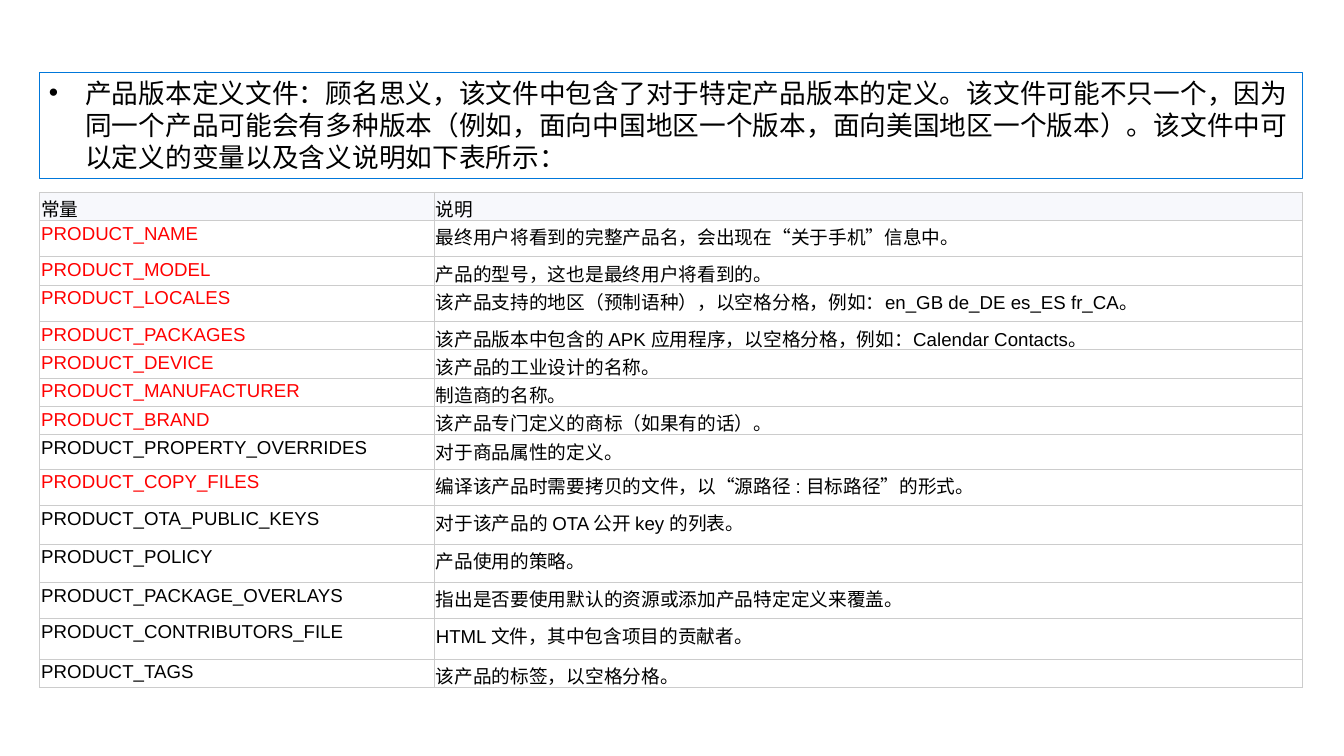
import pptx
import pptx.dml.color
import pptx.enum.shapes
import pptx.enum.text
import pptx.oxml
import pptx.oxml.ns
import pptx.util
from pptx.util import Inches

BLACK, RED, BLUE, GREY, PALE = "000000", "FF0000", "0077DA", "CCCCCC", "F7F8FC"

INTRO = (
    "产品版本定义文件：顾名思义，该文件中包含了对于特定产品版本的定义。"
    "该文件可能不只一个，因为同一个产品可能会有多种版本"
    "（例如，面向中国地区一个版本，面向美国地区一个版本）。"
    "该文件中可以定义的变量以及含义说明如下表所示："
)

ROWS = [
    (0.16, "常量", "说明", BLACK),
    (0.38, "PRODUCT_NAME", "最终用户将看到的完整产品名，会出现在“关于手机”信息中。", RED),
    (0.27, "PRODUCT_MODEL", "产品的型号，这也是最终用户将看到的。", RED),
    (0.38, "PRODUCT_LOCALES",
     "该产品支持的地区（预制语种），以空格分格，例如：en_GB de_DE es_ES fr_CA。", RED),
    (0.29, "PRODUCT_PACKAGES",
     "该产品版本中包含的 APK 应用程序，以空格分格，例如：Calendar Contacts。", RED),
    (0.16, "PRODUCT_DEVICE", "该产品的工业设计的名称。", RED),
    (0.27, "PRODUCT_MANUFACTURER", "制造商的名称。", RED),
    (0.27, "PRODUCT_BRAND", "该产品专门定义的商标（如果有的话）。", RED),
    (0.36, "PRODUCT_PROPERTY_OVERRIDES", "对于商品属性的定义。", BLACK),
    (0.38, "PRODUCT_COPY_FILES", "编译该产品时需要拷贝的文件，以“源路径 : 目标路径”的形式。", RED),
    (0.4, "PRODUCT_OTA_PUBLIC_KEYS", "对于该产品的 OTA 公开 key 的列表。", BLACK),
    (0.4, "PRODUCT_POLICY", "产品使用的策略。", BLACK),
    (0.38, "PRODUCT_PACKAGE_OVERLAYS", "指出是否要使用默认的资源或添加产品特定定义来覆盖。", BLACK),
    (0.42, "PRODUCT_CONTRIBUTORS_FILE", "HTML 文件，其中包含项目的贡献者。", BLACK),
    (0.27, "PRODUCT_TAGS", "该产品的标签，以空格分格。", BLACK),
]


def rgb(color):
    return pptx.dml.color.RGBColor.from_string(color)


class Deck:
    font = "Arial"

    def __init__(self, width, height):
        self.prs = pptx.Presentation()
        self.prs.slide_width = Inches(width)
        self.prs.slide_height = Inches(height)
        self.s = self.prs.slides.add_slide(self.prs.slide_layouts[6])

    def run(self, p, text, size, color=BLACK):
        r = p.add_run()
        r.text = text
        r.font.name = self.font
        r.font.size = pptx.util.Pt(size)
        r.font.color.rgb = rgb(color)

    def bullet_box(self, x, y, w, h, text, size, line, indent):
        sp = self.s.shapes.add_shape(
            pptx.enum.shapes.MSO_SHAPE.RECTANGLE,
            Inches(x), Inches(y), Inches(w), Inches(h))
        sp.shadow.inherit = False
        sp.fill.background()
        sp.line.color.rgb = rgb(line)
        sp.line.width = pptx.util.Pt(0.75)
        tf = sp.text_frame
        tf.word_wrap = True
        tf.auto_size = pptx.enum.text.MSO_AUTO_SIZE.SHAPE_TO_FIT_TEXT
        tf.vertical_anchor = pptx.enum.text.MSO_ANCHOR.TOP
        p = tf.paragraphs[0]
        p.alignment = pptx.enum.text.PP_ALIGN.LEFT
        self.run(p, text, size)
        pPr = p._p.get_or_add_pPr()
        pPr.set("marL", str(Inches(indent)))
        pPr.set("indent", str(-Inches(indent)))
        ns = pptx.oxml.ns.nsdecls("a")
        pPr.append(pptx.oxml.parse_xml(f'<a:buFont {ns} typeface="{self.font}"/>'))
        pPr.append(pptx.oxml.parse_xml(f'<a:buChar {ns} char="•"/>'))

    def borders(self, cell, color, width):
        tcPr = cell._tc.get_or_add_tcPr()
        for side in "LRTB":
            tcPr.append(pptx.oxml.parse_xml(
                f'<a:ln{side} {pptx.oxml.ns.nsdecls("a")} w="{pptx.util.Pt(width)}">'
                f'<a:solidFill><a:srgbClr val="{color}"/></a:solidFill></a:ln{side}>'))

    def cell(self, cell, text, color, fill):
        cell.margin_left = cell.margin_right = Inches(0.02)
        cell.margin_top = cell.margin_bottom = Inches(0.03)
        self.run(cell.text_frame.paragraphs[0], text, 14, color)
        self.borders(cell, GREY, 0.6)
        if fill:
            cell.fill.solid()
            cell.fill.fore_color.rgb = rgb(fill)
        else:
            cell.fill.background()

    def table(self, x, y, widths, rows):
        height = sum(row[0] for row in rows)
        table = self.s.shapes.add_table(
            len(rows), len(widths), Inches(x), Inches(y),
            Inches(sum(widths)), Inches(height)).table
        table.first_row = table.horz_banding = False
        for column, width in zip(table.columns, widths):
            column.width = Inches(width)
        for i, (height, name, meaning, color) in enumerate(rows):
            table.rows[i].height = Inches(height)
            fill = PALE if i == 0 else None
            self.cell(table.cell(i, 0), name, color, fill)
            self.cell(table.cell(i, 1), meaning, BLACK, fill)


def main():
    deck = Deck(14, 7.87)
    deck.bullet_box(0.41, 0.75, 13.16, 1.11, INTRO, 20, BLUE, 0.38)
    deck.table(0.41, 2, [4.11, 9.05], ROWS)
    deck.prs.save("out.pptx")


if __name__ == "__main__":
    main()
